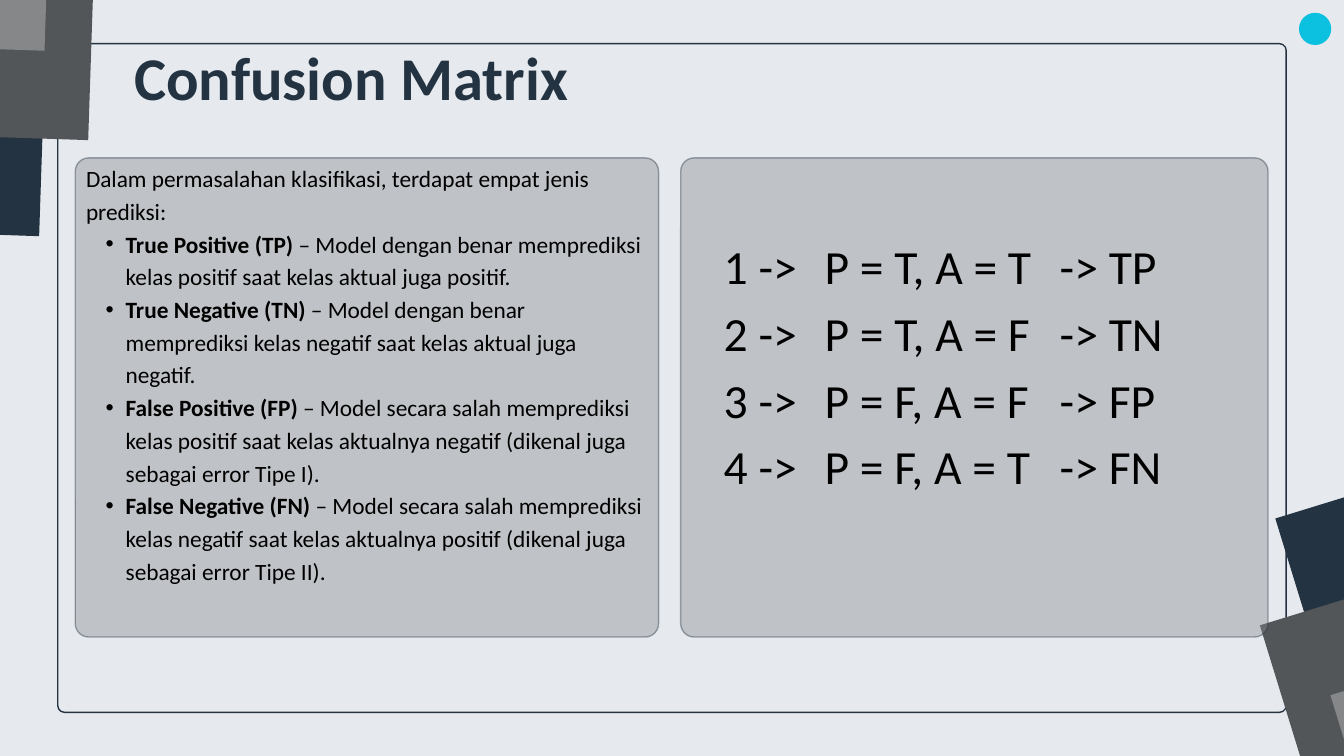
from dataclasses import dataclass

from lxml.etree import SubElement
from pptx import Presentation
from pptx.dml.color import RGBColor
from pptx.enum.shapes import MSO_SHAPE as Shape
from pptx.enum.text import MSO_ANCHOR as Anchor, MSO_AUTO_SIZE as AutoSize, PP_ALIGN as Align
from pptx.oxml.ns import qn
from pptx.util import Inches, Pt


@dataclass(frozen=True)
class Theme:
    font: str = "Calibri"
    background: str = "E6EAEF"
    navy: str = "243342"
    slate: str = "535659"
    grey: str = "858789"
    cyan: str = "0CC0DF"
    text: str = "000000"
    title_size: float = 65
    body_size: float = 25
    cases_size: float = 51
    title_leading: float = 59.8
    body_leading: float = 35
    cases_leading: float = 71.4
    line_width: float = 1.5
    panel_opacity: int = 40


class SlideBuilder:
    def __init__(self, slide, theme):
        self.slide = slide
        self.theme = theme
        background = slide.background.fill
        background.solid()
        background.fore_color.rgb = RGBColor.from_string(theme.background)

    def shape(self, kind, box, fill, line=None, opacity=100, radius=None, rotation=0):
        """Draw a preset shape; radius is the corner radius in inches."""
        shape = self.slide.shapes.add_shape(kind, *map(Inches, box))
        shape.shadow.inherit = False
        shape.rotation = rotation
        if radius is not None:
            shape.adjustments[0] = radius / min(box[2:])
        self.paint(shape.fill, fill, opacity)
        if line:
            self.paint(shape.line.fill, line, opacity)
            shape.line.width = Pt(self.theme.line_width)
        else:
            shape.line.fill.background()
        return shape

    def paint(self, fill, color, opacity):
        fill.solid()
        fill.fore_color.rgb = RGBColor.from_string(color)
        if opacity < 100:
            properties = fill._xPr
            color_element = properties.find(".//" + qn("a:srgbClr"))
            SubElement(color_element, qn("a:alpha"), val=str(opacity * 1000))

    def squares(self, corners, rotation):
        """Stack the three decorative squares, darkest at the back."""
        colors = (self.theme.navy, self.theme.slate, self.theme.grey)
        for (left, top), color in zip(corners, colors):
            self.shape(Shape.RECTANGLE, (left, top, 6.07, 6.1), color, rotation=rotation)

    def panel(self, left, width):
        self.shape(Shape.ROUNDED_RECTANGLE, (left, 2.35, width, 7.13), self.theme.grey,
                   line=self.theme.navy, opacity=self.theme.panel_opacity, radius=0.2)

    def place(self, index, box):
        """Move a placeholder to box, in front of the shapes drawn so far."""
        placeholder = self.slide.placeholders[index]
        placeholder.left, placeholder.top, placeholder.width, placeholder.height = map(Inches, box)
        self.slide.shapes.element.append(placeholder.element)
        frame = placeholder.text_frame
        frame.margin_left = frame.margin_top = frame.margin_right = frame.margin_bottom = 0
        frame.word_wrap = True
        frame.auto_size = AutoSize.NONE
        frame.vertical_anchor = Anchor.TOP
        return frame

    def paragraph(self, frame, runs, size, leading, color, align=Align.LEFT,
                  bullet=False, tabs=()):
        """Fill the empty first paragraph or a new one; runs are (text, bold) pairs."""
        paragraph = frame.paragraphs[0]
        if paragraph.runs:
            paragraph = frame.add_paragraph()
        paragraph.alignment = align
        paragraph.line_spacing = Pt(leading)
        paragraph.space_before = paragraph.space_after = Pt(0)
        for text, bold in runs:
            run = paragraph.add_run()
            run.text = text
            run.font.name = self.theme.font
            run.font.size = Pt(size)
            run.font.bold = bold
            run.font.color.rgb = RGBColor.from_string(color)

        properties = paragraph._p.get_or_add_pPr()
        properties.set("marL", str(Inches(0.59) if bullet else 0))
        properties.set("indent", str(Inches(-0.3) if bullet else 0))
        if bullet:
            paragraph.level = 1
            SubElement(properties, qn("a:buFont"), typeface="Arial")
            SubElement(properties, qn("a:buChar"), char="•")
        else:
            SubElement(properties, qn("a:buNone"))
        if tabs:
            tab_list = SubElement(properties, qn("a:tabLst"))
            for position in tabs:
                SubElement(tab_list, qn("a:tab"), pos=str(Inches(position)), algn="l")

    def title(self, text, box):
        theme = self.theme
        self.paragraph(self.place(0, box), [(text, True)], theme.title_size,
                       theme.title_leading, theme.navy, Align.CENTER)

    def definitions(self, intro, items, box):
        theme = self.theme
        style = (theme.body_size, theme.body_leading, theme.text)
        frame = self.place(1, box)
        self.paragraph(frame, [(intro, False)], *style)
        for term, meaning in items:
            self.paragraph(frame, [(term, True), (f" – {meaning}", False)], *style, bullet=True)

    def cases(self, rows, box):
        """List prediction (P) and actual (A) values with the outcome, in tabbed columns."""
        theme = self.theme
        frame = self.place(2, box)
        for number, (predicted, actual, outcome) in enumerate(rows, 1):
            text = f"{number} ->\tP = {predicted}, A = {actual}\t-> {outcome}"
            self.paragraph(frame, [(text, False)], theme.cases_size, theme.cases_leading,
                           theme.text, tabs=(1.42, 4.78))


INTRO = "Dalam permasalahan klasifikasi, terdapat empat jenis prediksi:"
DEFINITIONS = [
    ("True Positive (TP)",
     "Model dengan benar memprediksi kelas positif saat kelas aktual juga positif."),
    ("True Negative (TN)",
     "Model dengan benar memprediksi kelas negatif saat kelas aktual juga negatif."),
    ("False Positive (FP)",
     "Model secara salah memprediksi kelas positif saat kelas aktualnya negatif "
     "(dikenal juga sebagai error Tipe I)."),
    ("False Negative (FN)",
     "Model secara salah memprediksi kelas negatif saat kelas aktualnya positif "
     "(dikenal juga sebagai error Tipe II)."),
]
CASES = [("T", "T", "TP"), ("T", "F", "TN"), ("F", "F", "FP"), ("F", "T", "FN")]


def main():
    presentation = Presentation()
    presentation.slide_width = Inches(20)
    presentation.slide_height = Inches(11.25)
    two_content = presentation.slide_layouts[3]
    theme = Theme()
    builder = SlideBuilder(presentation.slides.add_slide(two_content), theme)

    builder.shape(Shape.ROUNDED_RECTANGLE, (0.86, 0.65, 18.28, 9.95), theme.background,
                  line=theme.navy, radius=0.1)
    builder.squares([(-5.4, -2.67), (-4.67, -4.1), (-5.32, -5.43)], rotation=271.9)
    builder.squares([(19.75, 6.67), (19.52, 8.26), (20.57, 9.3)], rotation=72.9)
    builder.panel(1.12, 8.68)
    builder.definitions(INTRO, DEFINITIONS, (1.28, 2.38, 8.37, 7.3))
    builder.panel(10.13, 8.74)
    builder.cases(CASES, (10.77, 3.39, 8.37, 4.19))
    builder.title("Confusion Matrix", (1.63, 0.85, 7.2, 1.21))
    builder.shape(Shape.OVAL, (19.33, 0.19, 0.48, 0.48), theme.cyan)

    presentation.save("out.pptx")


if __name__ == "__main__":
    main()
